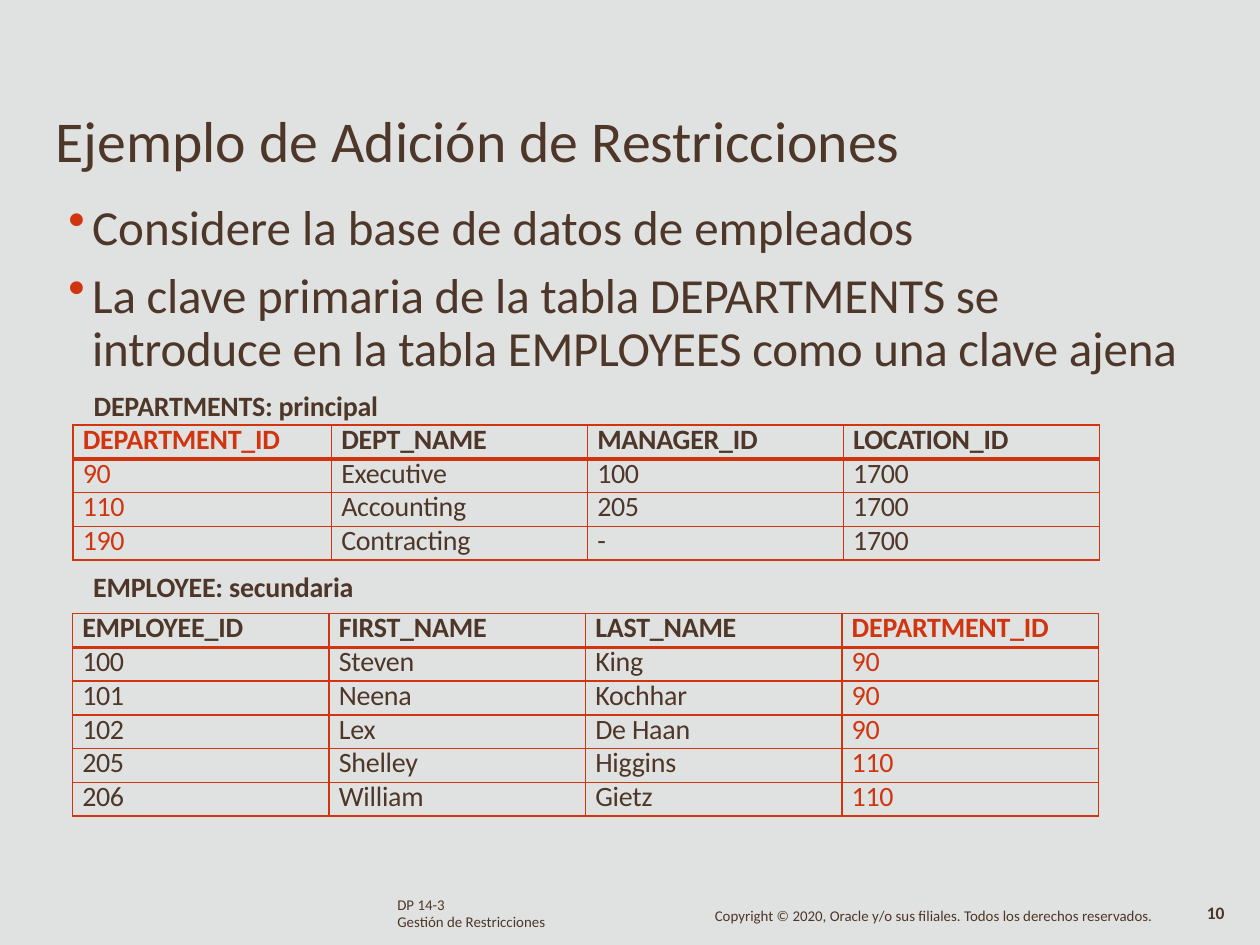
from lxml import etree
from pptx import Presentation
from pptx.dml.color import RGBColor
from pptx.oxml import ns
from pptx.util import Cm, Pt

COLORS = {"background": "E0E2E1", "text": "4E3629", "accent": "D1350F"}
FONT = "Calibri"

# Frames are left, top, width, height in cm; lengths inside paragraphs are points
TEXTS = [
    {"frame": (1.09, 2.08, 23.22, 1.47), "inset": 0.03, "paragraphs": [
        {"text": "Ejemplo de Adición de Restricciones", "size": 33}]},
    {"frame": (7.98, 18.11, 3.07, 0.69), "paragraphs": [
        {"text": "DP 14-3", "size": 8.5, "line": 8.6},
        {"text": "Gestión de Restricciones", "size": 8.5, "line": 9.7}]},
    {"frame": (24.23, 18.24, 0.61, 0.43), "paragraphs": [
        {"text": "10", "size": 10, "bold": True, "line": 10.4, "indent": 0.1}]},
    {"frame": (14.38, 18.31, 8.94, 0.38), "paragraphs": [
        {"text": "Copyright © 2020, Oracle y/o sus filiales. "
                 "Todos los derechos reservados.", "size": 8.5, "line": 9.1}]},
    {"frame": (1.35, 3.76, 22.63, 4.78), "inset": 0.21, "paragraphs": [
        {"text": "Considere la base de datos de empleados",
         "size": 28, "bullet": True},
        {"text": "La clave primaria de la tabla DEPARTMENTS se introduce "
                 "en la tabla EMPLOYEES como una clave ajena",
         "size": 28, "bullet": True, "line": 30.3, "before": 8.4, "spacing": -0.1},
        {"text": "DEPARTMENTS: principal", "size": 16, "bold": True,
         "before": 6.9, "indent": 0.54, "spacing": -0.1}]},
    {"frame": (1.85, 11.46, 5.41, 0.74), "inset": 0.03, "paragraphs": [
        {"text": "EMPLOYEE: secundaria", "size": 16, "bold": True,
         "spacing": -0.1}]},
]

ROW_HEIGHT = 0.68
TABLES = [
    {"left": 1.46, "top": 12.37, "widths": [5.17] * 4, "key": 3, "rows": [
        ("EMPLOYEE_ID", "FIRST_NAME", "LAST_NAME", "DEPARTMENT_ID"),
        ("100", "Steven", "King", "90"),
        ("101", "Neena", "Kochhar", "90"),
        ("102", "Lex", "De Haan", "90"),
        ("205", "Shelley", "Higgins", "110"),
        ("206", "William", "Gietz", "110")]},
    {"left": 1.47, "top": 8.57, "widths": [5.21] + [5.16] * 3, "key": 0, "rows": [
        ("DEPARTMENT_ID", "DEPT_NAME", "MANAGER_ID", "LOCATION_ID"),
        ("90", "Executive", "100", "1700"),
        ("110", "Accounting", "205", "1700"),
        ("190", "Contracting", "-", "1700")]},
]


def rgb(name):
    return RGBColor.from_string(COLORS[name])


def add_color(parent, tag, color):
    holder = etree.SubElement(parent, ns.qn(tag))
    etree.SubElement(holder, ns.qn("a:srgbClr"), val=COLORS[color])


def set_margins(target, **margins):
    for side in ("left", "top", "right", "bottom"):
        setattr(target, f"margin_{side}", Cm(margins.get(side, 0)))


def write(paragraph, content):
    properties = paragraph._p.get_or_add_pPr()
    indent, hanging = (0.51, -0.48) if content.get("bullet") else (
        content.get("indent", 0.03), 0)
    properties.set("marL", str(Cm(indent)))
    properties.set("indent", str(Cm(hanging)))
    if content.get("bullet"):
        add_color(properties, "a:buClr", "accent")
        etree.SubElement(properties, ns.qn("a:buChar"), char="•")
    if "line" in content:
        paragraph.line_spacing = Pt(content["line"])
    if "before" in content:
        paragraph.space_before = Pt(content["before"])
    run = paragraph.add_run()
    run.text = content["text"]
    style = {"name": FONT, "size": Pt(content["size"]),
             "bold": content.get("bold", False)}
    for attribute, value in style.items():
        setattr(run.font, attribute, value)
    run.font.color.rgb = rgb(content.get("color", "text"))
    if "spacing" in content:
        run._r.get_or_add_rPr().set("spc", str(round(content["spacing"] * 100)))


def add_text(slide, content):
    frame = slide.shapes.add_textbox(*map(Cm, content["frame"])).text_frame
    frame.word_wrap = True
    set_margins(frame, top=content.get("inset", 0))
    for index, item in enumerate(content["paragraphs"]):
        write(frame.add_paragraph() if index else frame.paragraphs[0], item)


def add_borders(cell, widths):
    properties = cell._tc.get_or_add_tcPr()
    for side, width in widths.items():
        line = etree.SubElement(properties, ns.qn(f"a:ln{side}"), w=str(Pt(width)))
        add_color(line, "a:solidFill", "accent")


def add_table(slide, content):
    rows, widths = content["rows"], content["widths"]
    table = slide.shapes.add_table(
        len(rows), len(widths), Cm(content["left"]), Cm(content["top"]),
        Cm(sum(widths)), Cm(ROW_HEIGHT * len(rows))).table
    table.horz_banding = False
    for column, width in zip(table.columns, widths):
        column.width = Cm(width)
    for r, values in enumerate(rows):
        table.rows[r].height = Cm(ROW_HEIGHT)
        for c, value in enumerate(values):
            cell = table.cell(r, c)
            set_margins(cell)
            add_borders(cell, {"L": 1, "R": 1, "T": 2.25 if r == 1 else 1,
                               "B": 2.25 if r == 0 else 1})
            cell.fill.background()
            write(cell.text_frame.paragraphs[0], {
                "text": value, "size": 16, "bold": r == 0, "line": 18.2,
                "indent": 0.2, "spacing": -0.1 if value[0].isalpha() else -0.2,
                "color": "accent" if c == content["key"] else "text"})


def main():
    deck = Presentation()
    deck.slide_width, deck.slide_height = Cm(25.4), Cm(19.05)
    slide = deck.slides.add_slide(deck.slide_layouts[6])
    slide.background.fill.solid()
    slide.background.fill.fore_color.rgb = rgb("background")
    for content in TEXTS:
        add_text(slide, content)
    for content in TABLES:
        add_table(slide, content)
    deck.save("out.pptx")


if __name__ == "__main__":
    main()
